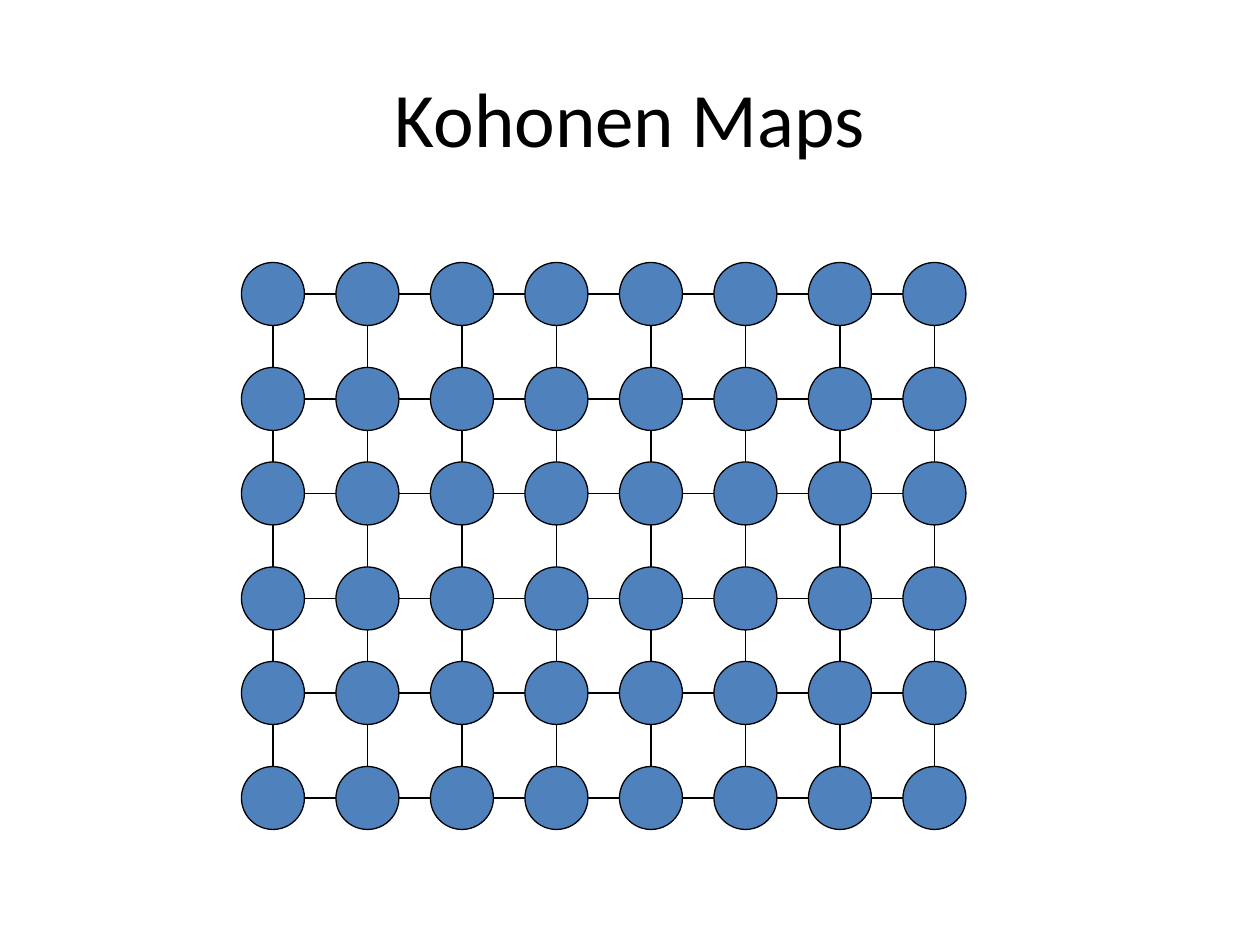
"""Build a slide showing a Kohonen map as a lattice of linked neurons."""
import itertools

import pptx
import pptx.dml.color
import pptx.enum.shapes
import pptx.enum.text
import pptx.oxml.ns
import pptx.util
from lxml import etree

TITLE = "Kohonen Maps"
TITLE_BOX = (48, 29, 864, 120)
FONT = "Calibri"
COLUMNS, ROWS = 8, 6
LATTICE_LEFT, LATTICE_TOP = 184, 200
NEURON = 48
COLUMN_GAP = 24
ROW_GAPS = (32, 24)
LINE_WIDTH = pptx.util.Pt(0.75)

BLUE = pptx.dml.color.RGBColor(0x4F, 0x81, 0xBD)
BLACK = pptx.dml.color.RGBColor(0, 0, 0)
EMU_PER_PX = 9525


def px(*lengths):
    return [pptx.util.Emu(length * EMU_PER_PX) for length in lengths]


def outline(part):
    part.line.color.rgb = BLACK
    part.line.width = LINE_WIDTH


def add_neuron(lattice, left, top):
    neuron = lattice.shapes.add_shape(
        pptx.enum.shapes.MSO_SHAPE.OVAL, *px(left, top, NEURON, NEURON))
    neuron.shadow.inherit = False
    neuron.fill.solid()
    neuron.fill.fore_color.rgb = BLUE
    outline(neuron)


def add_link(lattice, *ends):
    link = lattice.shapes.add_connector(
        pptx.enum.shapes.MSO_CONNECTOR.STRAIGHT, *px(*ends))
    outline(link)
    etree.SubElement(link._element.spPr, pptx.oxml.ns.qn("a:effectLst"))


def add_title(slide):
    title = slide.shapes.title
    title.left, title.top, title.width, title.height = px(*TITLE_BOX)
    title.text_frame.text = TITLE
    title.text_frame.vertical_anchor = pptx.enum.text.MSO_ANCHOR.MIDDLE
    heading = title.text_frame.paragraphs[0]
    heading.alignment = pptx.enum.text.PP_ALIGN.CENTER
    font = heading.runs[0].font
    font.name = FONT
    font.size = pptx.util.Pt(44)
    font.color.rgb = BLACK


def add_lattice(slide):
    lattice = slide.shapes.add_group_shape()
    lefts = [LATTICE_LEFT + column * (NEURON + COLUMN_GAP) for column in range(COLUMNS)]
    row_steps = [NEURON + ROW_GAPS[row % 2] for row in range(ROWS - 1)]
    tops = list(itertools.accumulate(row_steps, initial=LATTICE_TOP))
    radius = NEURON // 2
    for left, top in itertools.product(lefts, tops):
        add_neuron(lattice, left, top)
    for (left, right), top in itertools.product(itertools.pairwise(lefts), tops):
        add_link(lattice, left + NEURON, top + radius, right, top + radius)
    for left, (upper, lower) in itertools.product(lefts, itertools.pairwise(tops)):
        add_link(lattice, left + radius, lower, left + radius, upper + NEURON)


def main():
    deck = pptx.Presentation()
    deck.slide_width, deck.slide_height = px(960, 720)
    slide = deck.slides.add_slide(deck.slide_layouts[5])
    add_title(slide)
    add_lattice(slide)
    deck.save("out.pptx")


if __name__ == "__main__":
    main()
